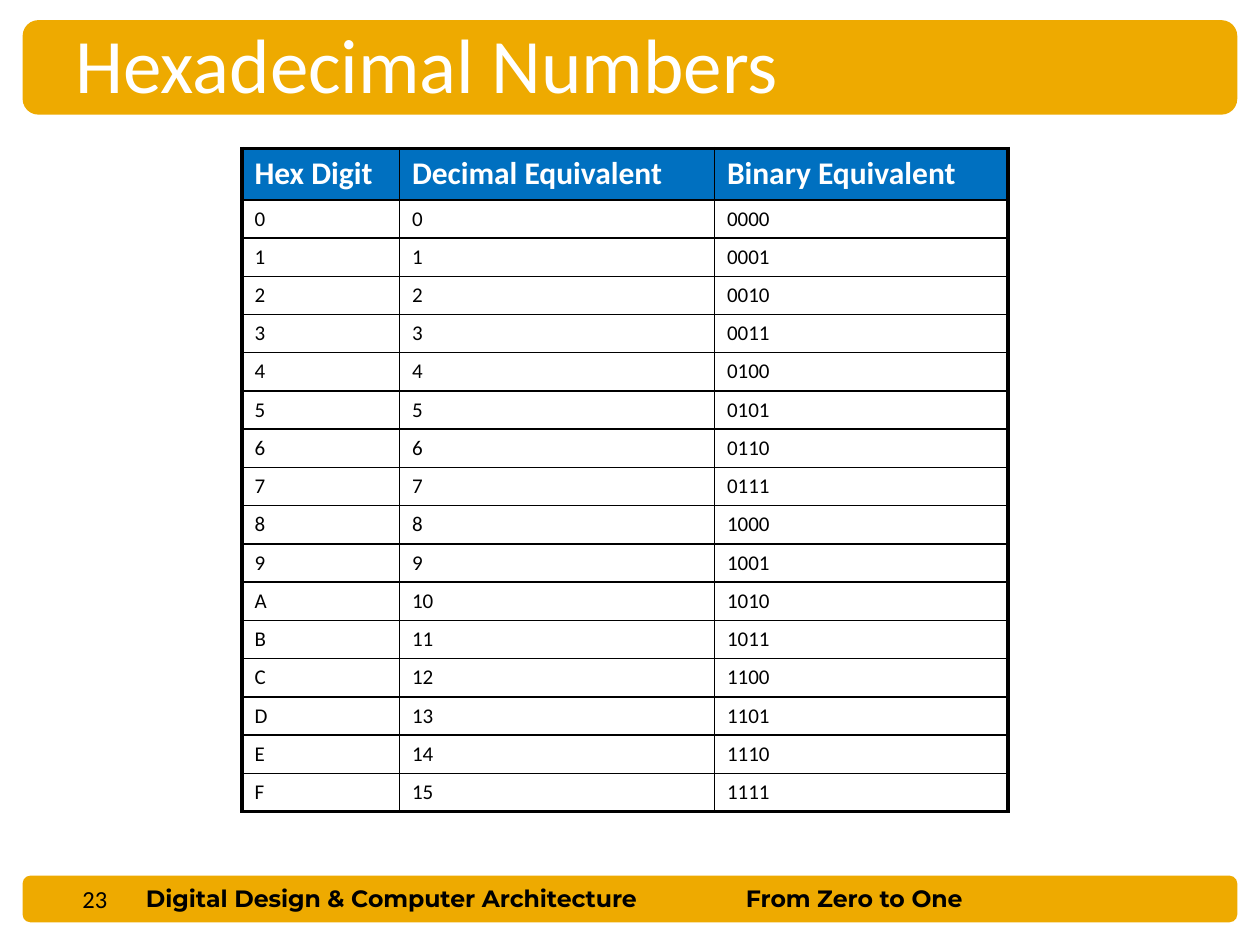
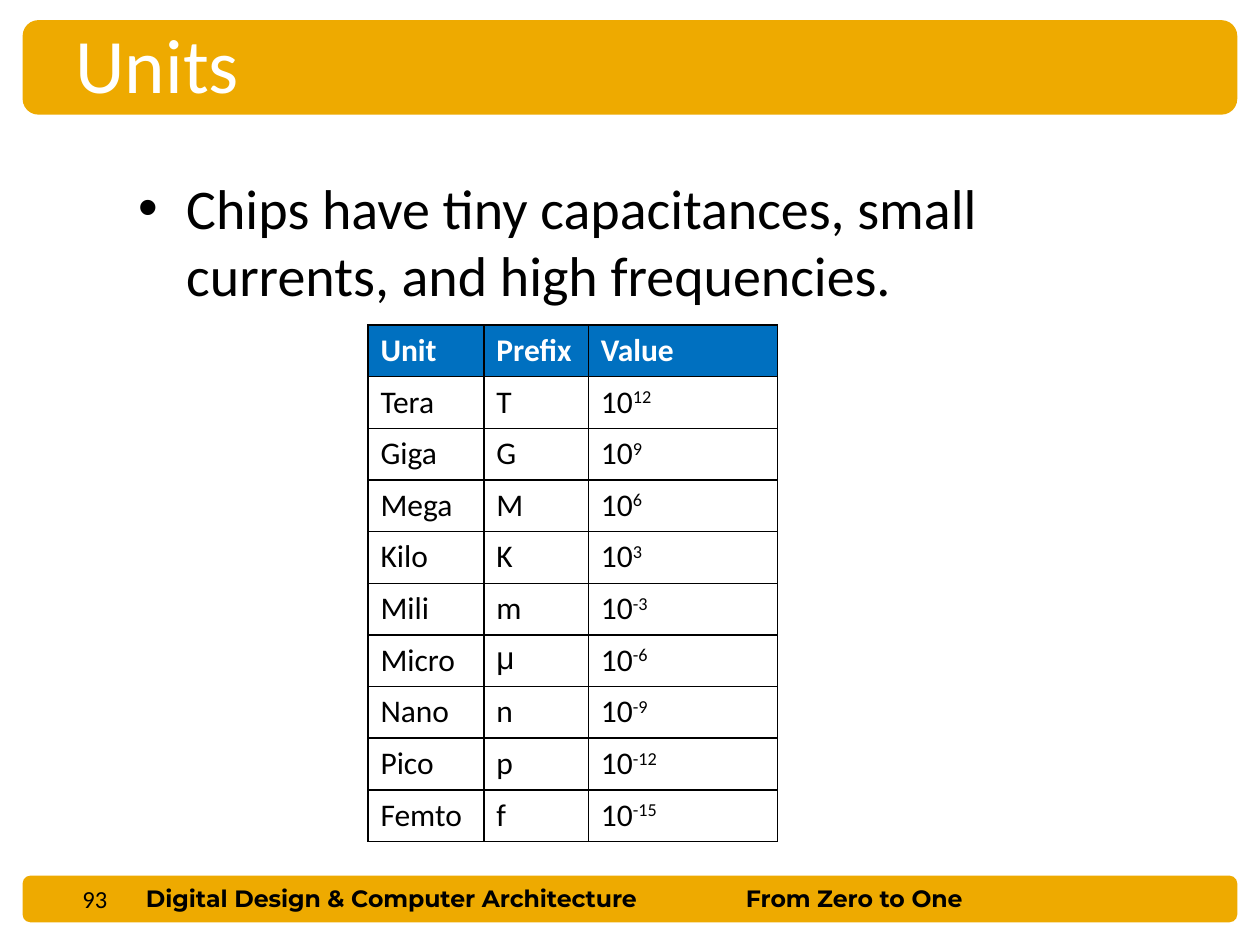
import pptx
import pptx.dml.color
import pptx.enum.shapes
import pptx.enum.text
import pptx.oxml
import pptx.oxml.ns
import pptx.util

Inches = pptx.util.Inches
Pt = pptx.util.Pt
ALIGN = pptx.enum.text.PP_ALIGN
COLORS = {"band": "EEAA00", "head": "0070C0", "ink": "000000", "paper": "FFFFFF"}
NS = pptx.oxml.ns.nsdecls("a")


def color(name):
    return pptx.dml.color.RGBColor.from_string(COLORS[name])


class Deck:
    font = "Calibri"
    brand = "Montserrat"

    def __init__(self):
        self.prs = pptx.Presentation()
        self.prs.slide_width = Inches(10)
        self.prs.slide_height = Inches(7.5)
        self.slide = None

    def style(self, para, size, ink="ink", bold=False, face=None, align=ALIGN.LEFT):
        para.alignment = align
        for run in para.runs:
            run.font.name = face or self.font
            run.font.size = Pt(size)
            run.font.bold = bold
            run.font.color.rgb = color(ink)

    def start(self, title, number):
        self.slide = self.prs.slides.add_slide(self.prs.slide_layouts[5])
        self.band(6.95, 0.37)
        self.band(0.16, 0.75)
        self.text("Digital Design & Computer Architecture", (1.06, 6.97, 4.44, 0.33),
                  13.5, bold=True, face=self.brand)
        self.text("From Zero to One", (4.25, 6.97, 5.06, 0.33),
                  13.5, bold=True, face=self.brand, align=ALIGN.CENTER)
        self.text(str(number), (0.25, 6.97, 0.7, 0.34), 14, align=ALIGN.RIGHT)
        self.title(title)

    def title(self, words):
        shape = self.slide.shapes.title
        self.slide.shapes.element.append(shape.element)
        shape.left, shape.top, shape.width, shape.height = map(Inches, (0.5, 0.08, 8.67, 0.84))
        frame = shape.text_frame
        frame.text = words
        frame.auto_size = pptx.enum.text.MSO_AUTO_SIZE.NONE
        frame.vertical_anchor = pptx.enum.text.MSO_ANCHOR.MIDDLE
        self.style(frame.paragraphs[0], 44, "paper")

    def band(self, top, height):
        shape = self.slide.shapes.add_shape(
            pptx.enum.shapes.MSO_SHAPE.ROUNDED_RECTANGLE,
            Inches(0.18), Inches(top), Inches(9.64), Inches(height))
        shape.shadow.inherit = False
        shape.fill.solid()
        shape.fill.fore_color.rgb = color("band")
        shape.line.fill.background()

    def text(self, words, box, size, **look):
        frame = self.slide.shapes.add_textbox(*map(Inches, box)).text_frame
        frame.word_wrap = True
        frame.text = words
        para = frame.paragraphs[0]
        self.style(para, size, **look)
        return para

    def bullet(self, words, box, size):
        props = self.text(words, box, size)._p.get_or_add_pPr()
        props.set("marL", str(Inches(0.38)))
        props.set("indent", str(Inches(-0.38)))
        props.append(pptx.oxml.parse_xml(f'<a:buFont {NS} typeface="Arial"/>'))
        props.append(pptx.oxml.parse_xml(f'<a:buChar {NS} char="•"/>'))

    def border(self, cell, widths):
        props = cell._tc.get_or_add_tcPr()
        for side, width in zip("LRTB", widths):
            props.append(pptx.oxml.parse_xml(
                f'<a:ln{side} {NS} w="{Pt(width)}"><a:solidFill>'
                f'<a:srgbClr val="{COLORS["ink"]}"/></a:solidFill></a:ln{side}>'))

    def label(self, cell, words, size, head):
        base, _, power = words.partition("^")
        cell.text = base
        para = cell.text_frame.paragraphs[0]
        if power:
            run = para.add_run()
            run.text = power
            run._r.get_or_add_rPr().set("baseline", "30000")
        self.style(para, size, "paper" if head else "ink", head,
                   "Arial" if base == "μ" else None)

    def table(self, rows, spot, widths, heights, size, frame=1):
        box = (*spot, sum(widths), sum(heights))
        grid = self.slide.shapes.add_table(len(rows), len(widths), *map(Inches, box)).table
        grid.horz_banding = False
        for col, width in zip(grid.columns, widths):
            col.width = Inches(width)
        for row, height in zip(grid.rows, heights):
            row.height = Inches(height)
        for r, row in enumerate(rows):
            for c, words in enumerate(row):
                cell = grid.cell(r, c)
                edges = (c == 0, c == len(row) - 1, r == 0, r == len(rows) - 1)
                self.border(cell, [frame if edge else 1 for edge in edges])
                if r == 0:
                    cell.fill.solid()
                    cell.fill.fore_color.rgb = color("head")
                else:
                    cell.fill.background()
                self.label(cell, words, size if r else 18, r == 0)


def main():
    deck = Deck()

    deck.start("Hexadecimal Numbers", 23)
    digits = [("Hex Digit", "Decimal Equivalent", "Binary Equivalent")]
    digits += [(f"{n:X}", str(n), f"{n:04b}") for n in range(16)]
    deck.table(digits, (1.92, 1.18), (1.25, 2.5, 2.33), [0.4] + [0.3] * 16, 12, frame=2.25)

    deck.start("Units", 93)
    deck.bullet("Chips have tiny capacitances, small currents, and high frequencies.",
                (1, 1.33, 8.5, 1.2), 32)
    units = [
        ("Unit", "Prefix", "Value"),
        ("Tera", "T", "10^12"),
        ("Giga", "G", "10^9"),
        ("Mega", "M", "10^6"),
        ("Kilo", "K", "10^3"),
        ("Mili", "m", "10^-3"),
        ("Micro", "μ", "10^-6"),
        ("Nano", "n", "10^-9"),
        ("Pico", "p", "10^-12"),
        ("Femto", "f", "10^-15"),
    ]
    deck.table(units, (2.92, 2.58), (0.92, 0.83, 1.5), [0.41] * len(units), 18)

    deck.prs.save("out.pptx")


if __name__ == "__main__":
    main()
